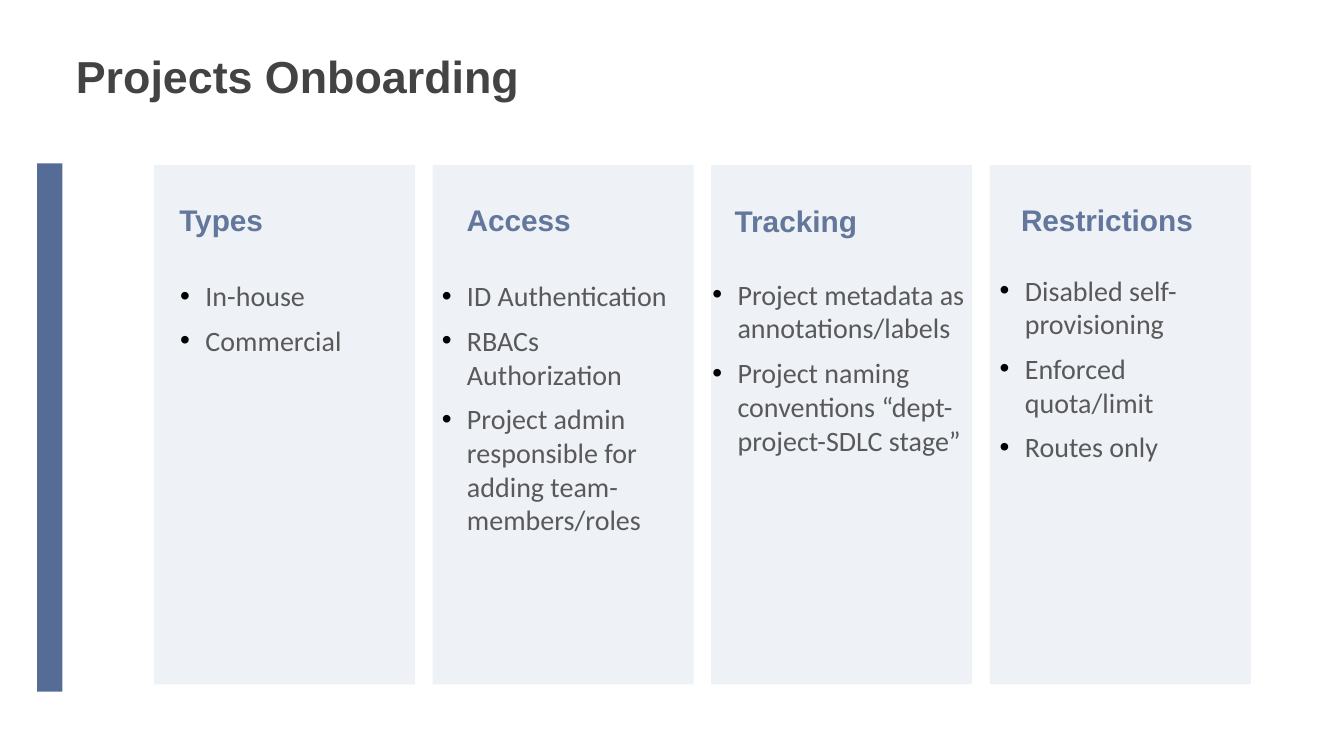
"""Build the Projects Onboarding slide with four topic columns."""
import pptx
import pptx.util
import pptx.dml.color
import pptx.enum.shapes
import pptx.enum.text
import lxml.etree

TITLE = "Projects Onboarding"
COLUMNS = [
    {"heading": "Types", "heading_box": (121, 140.4, 204.5, 33),
     "points": ["In-house", "Commercial"],
     "points_box": (121.7, 195.5, 196.6, 64)},
    {"heading": "Access", "heading_box": (326.2, 140.4, 106.6, 33),
     "points": ["ID Authentication", "RBACs Authorization",
                "Project admin responsible for adding team-members/roles"],
     "points_box": (308.5, 195.5, 196.6, 193)},
    {"heading": "Tracking", "heading_box": (517.7, 141.1, 118.8, 33),
     "points": ["Project metadata as annotations/labels",
                "Project naming conventions “dept-project-SDLC stage”"],
     "points_box": (501.8, 194.6, 220.3, 168.5)},
    {"heading": "Restrictions", "heading_box": (722.2, 140.4, 157, 33),
     "points": ["Disabled self-provisioning", "Enforced quota/limit", "Routes only"],
     "points_box": (707, 191.5, 186.5, 144.7)},
]
CARD_LEFT, CARD_TOP, CARD_WIDTH, CARD_HEIGHT = 110, 118, 186.5, 370.8
CARD_PITCH = 199
ACCENT_BAR = (26.6, 116.8, 18, 377.3)
TITLE_BOX = (44.6, 42.5, 412.6, 40.3)
TITLE_INSET = 9.6
BULLET_INDENT = 18


def color(code):
    return pptx.dml.color.RGBColor.from_string(code)


def add_block(slide, box, fill):
    block = slide.shapes.add_shape(
        pptx.enum.shapes.MSO_SHAPE.RECTANGLE, *map(pptx.util.Pt, box))
    block.shadow.inherit = False
    block.fill.solid()
    block.fill.fore_color.rgb = color(fill)
    block.line.fill.background()


def add_run(paragraph, text, size, font, ink, bold=False):
    run = paragraph.add_run()
    run.text = text
    run.font.size = pptx.util.Pt(size)
    run.font.name = font
    run.font.bold = bold
    run.font.color.rgb = color(ink)


def add_frame(slide, box):
    frame = slide.shapes.add_textbox(*map(pptx.util.Pt, box)).text_frame
    frame.word_wrap = True
    frame.auto_size = pptx.enum.text.MSO_AUTO_SIZE.SHAPE_TO_FIT_TEXT
    return frame


def add_bullet(paragraph):
    properties = paragraph._p.get_or_add_pPr()
    indent = pptx.util.Pt(BULLET_INDENT)
    properties.set("marL", str(indent))
    properties.set("indent", str(-indent))
    namespace = "{%s}" % properties.nsmap["a"]
    bullet_color = lxml.etree.SubElement(properties, namespace + "buClr")
    lxml.etree.SubElement(bullet_color, namespace + "srgbClr", val="000000")
    lxml.etree.SubElement(properties, namespace + "buFont", typeface="Arial")
    lxml.etree.SubElement(properties, namespace + "buChar", char="•")


def add_title(slide):
    title = slide.shapes.title
    title.left, title.top, title.width, title.height = map(pptx.util.Pt, TITLE_BOX)
    frame = title.text_frame
    frame.margin_left = frame.margin_right = pptx.util.Pt(TITLE_INSET)
    frame.margin_top = frame.margin_bottom = pptx.util.Pt(TITLE_INSET)
    frame.vertical_anchor = pptx.enum.text.MSO_ANCHOR.BOTTOM
    frame.auto_size = pptx.enum.text.MSO_AUTO_SIZE.NONE
    frame.word_wrap = True
    frame.paragraphs[0].alignment = pptx.enum.text.PP_ALIGN.LEFT
    add_run(frame.paragraphs[0], TITLE, 32, "Arial", "434343", True)


def add_column(slide, index, column):
    left = CARD_LEFT + index * CARD_PITCH
    add_block(slide, (left, CARD_TOP, CARD_WIDTH, CARD_HEIGHT), "EEF1F6")
    heading = add_frame(slide, column["heading_box"])
    add_run(heading.paragraphs[0], column["heading"], 21.3, "Arial", "62779B", True)
    points = add_frame(slide, column["points_box"])
    for number, point in enumerate(column["points"]):
        paragraph = points.add_paragraph() if number else points.paragraphs[0]
        paragraph.space_after = pptx.util.Pt(8)
        add_bullet(paragraph)
        add_run(paragraph, point, 20, "Calibri", "595959")


def main():
    deck = pptx.Presentation()
    deck.slide_width, deck.slide_height = map(pptx.util.Pt, (960, 540))
    slide = deck.slides.add_slide(deck.slide_layouts.get_by_name("Title Only"))
    add_title(slide)
    add_block(slide, ACCENT_BAR, "556D96")
    for index, column in enumerate(COLUMNS):
        add_column(slide, index, column)
    deck.save("out.pptx")


if __name__ == "__main__":
    main()
